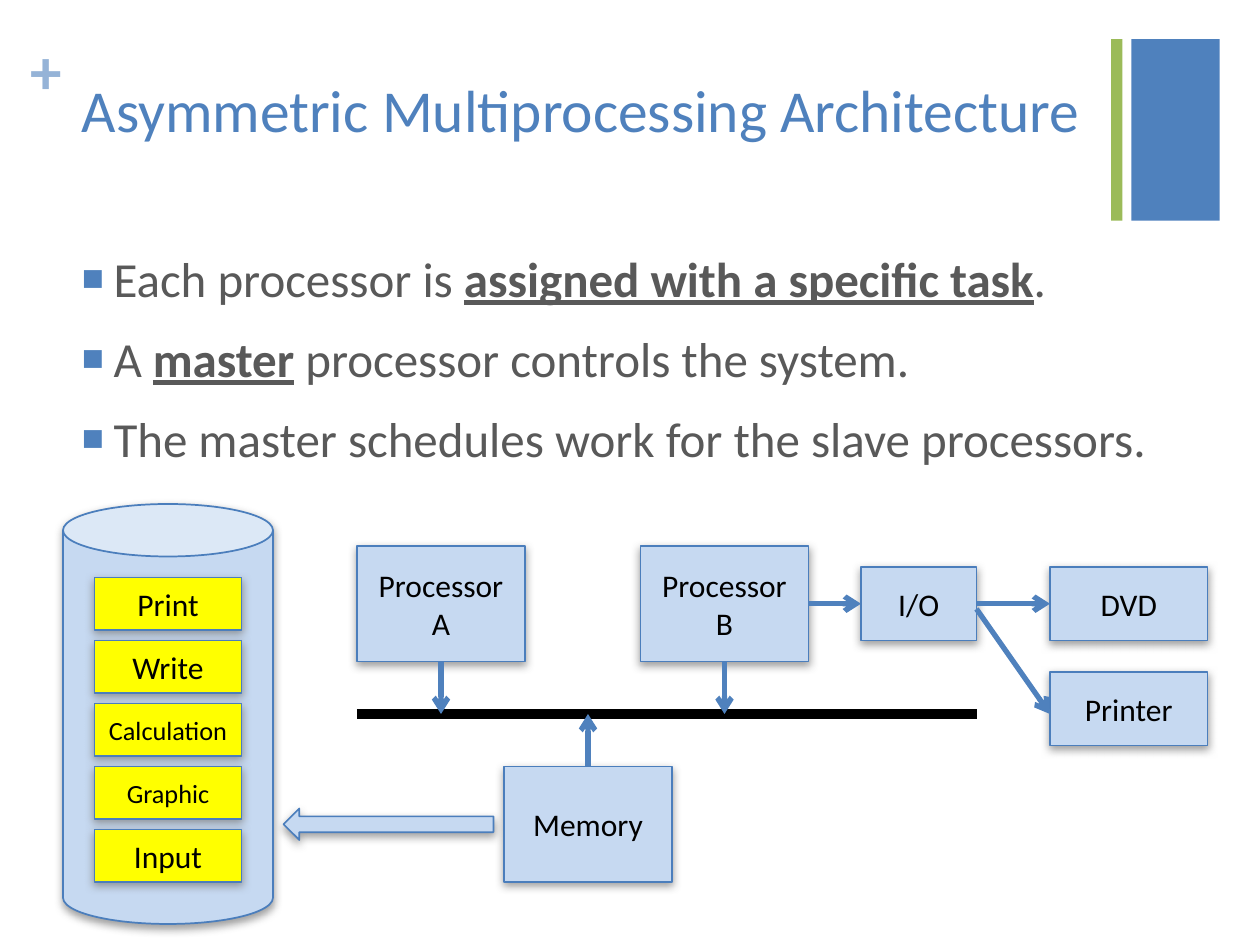
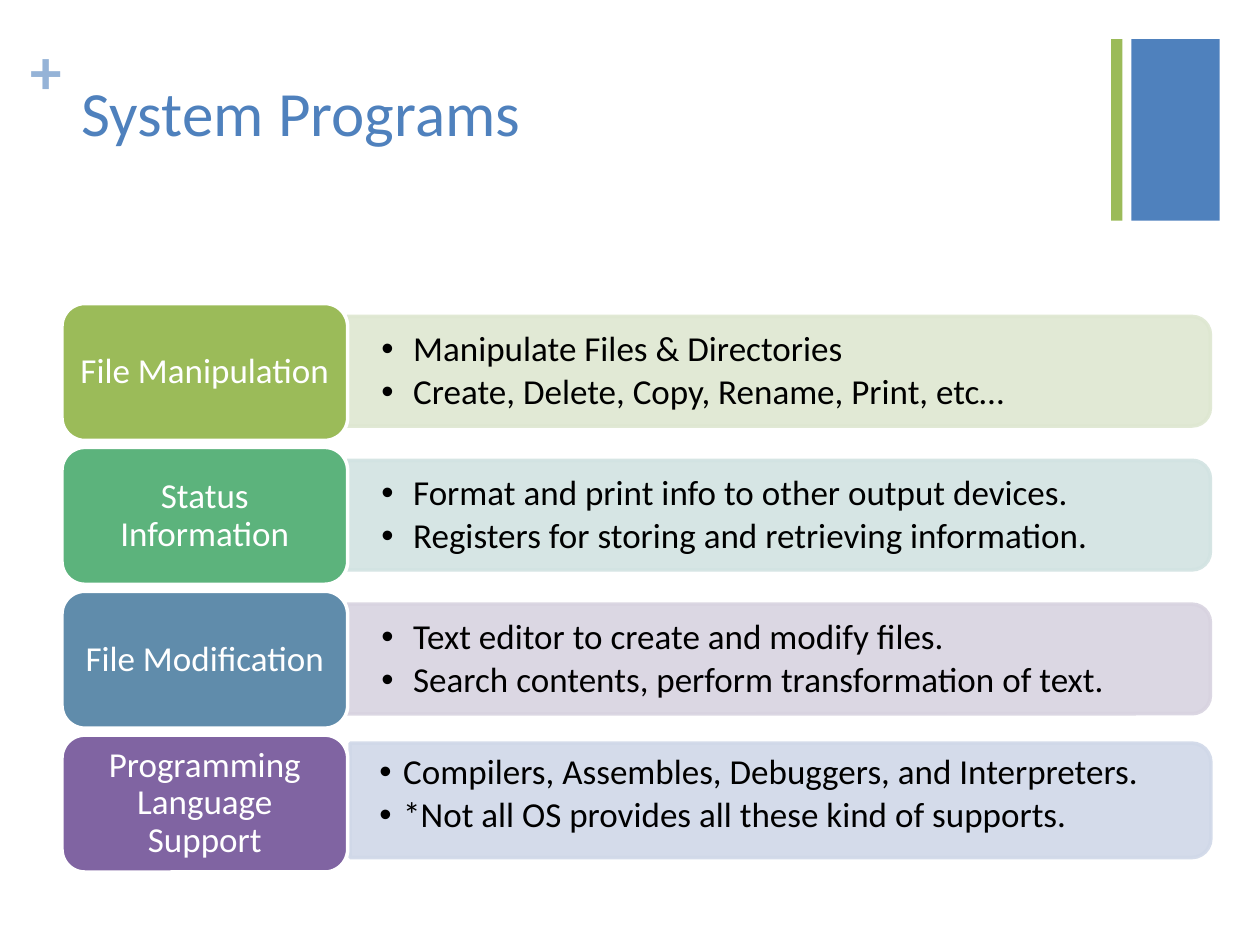
"""Builds two slides: a multiprocessing diagram and a list of system programs."""
from lxml import etree
from pptx import Presentation
from pptx.dml.color import RGBColor
from pptx.enum.shapes import MSO_CONNECTOR, MSO_SHAPE
from pptx.enum.text import MSO_ANCHOR, PP_ALIGN
from pptx.oxml.ns import qn
from pptx.util import Cm, Pt

FONT = "Calibri"
BLUE, GREEN, PALE_PLUS = "4F81BD", "9BBB59", "95B3D7"
BLACK, WHITE, GREY = "000000", "FFFFFF", "595959"
BOX_FILL, BOX_LINE, TASK_FILL = "C6D9F1", "4B7EBC", "FFFF00"

BANDS = [((22.81, 0.79, 1.78, 3.66), BLUE), ((22.4, 0.79, 0.23, 3.66), GREEN)]
PLUS_BOX = (0.61, 0.64, 0.74, 1.55)
TITLE_BOX = (1.4, 1.35, 20.98, 3.1)

POINTS = [
    [("Each processor is ", False), ("assigned with a specific task", True), (".", False)],
    [("A ", False), ("master", True), (" processor controls the system.", False)],
    [("The master schedules work for the slave processors.", False)],
]
POINTS_BOX = (1.4, 4.88, 23.16, 12.7)

GRID = 2.54 / 12
UNITS = [
    ("Memory", (48, 73, 16, 11)),
    ("Processor\nA", (34, 52, 16, 11)),
    ("Processor\nB", (61, 52, 16, 11)),
    ("I/O", (82, 54, 11, 7)),
    ("Printer", (100, 64, 15, 7)),
    ("DVD", (100, 54, 15, 7)),
]
BUS = (34, 68, 93, 68)
LINKS = [
    (42, 63, 42, 68),
    (69, 63, 69, 68),
    (56, 73, 56, 68),
    (77, 57.5, 82, 57.5),
    (93, 57.5, 100, 57.5),
    (93, 58, 100, 68),
]
STORE = (6, 48, 20, 40)
LOAD_ARROW = (27, 77, 20, 3)
TASKS = [("Print", 18), ("Write", 18), ("Calculation", 15), ("Graphic", 15), ("Input", 18)]
TASK_LEFT, TASK_TOP, TASK_WIDTH, TASK_HEIGHT, TASK_STEP = 9, 55, 14, 5, 6

PROGRAMS = [
    ("File Manipulation", GREEN, "DEE7D1",
     ["Manipulate Files & Directories", "Create, Delete, Copy, Rename, Print, etc…"]),
    ("Status Information", "5CB37C", "D2E3E2",
     ["Format and print info to other output devices.",
      "Registers for storing and retrieving information."]),
    ("File Modification", "608CAB", "D8D3E0",
     ["Text editor to create and modify files.",
      "Search contents, perform transformation of text."]),
    ("Programming Language Support", "8064A2", "D0D8E8",
     ["Compilers, Assembles, Debuggers, and Interpreters.",
      "*Not all OS provides all these kind of supports."]),
]
LABEL_LEFT, LABEL_TOP, LABEL_WIDTH, LABEL_HEIGHT, ROW_STEP = 1.25, 6.12, 5.76, 2.76, 2.9
PANEL = dict(box=(7, 0.26, 17.4, 2.21), text=(7, 0.38, 17.3, 2),
             insets=(0.69, 0.36), indent=0.64)
LAST_PANEL = dict(box=(7.06, 0.16, 17.35, 2.31), text=(7.47, 0.16, 16.89, 2.08),
                  insets=(0.18, 0.1), indent=0.48)


def rgb(color):
    return RGBColor.from_string(color)


def on_grid(cells):
    return [cell * GRID for cell in cells]


def add_xml(parent, tag, **attributes):
    return etree.SubElement(parent, qn(tag), attributes)


def style_run(run, size, color, bold=False):
    run.font.name, run.font.size, run.font.bold = FONT, Pt(size), bold
    run.font.color.rgb = rgb(color)


def set_frame(frame, insets, anchor):
    frame.word_wrap = True
    frame.vertical_anchor = anchor
    frame.margin_left = frame.margin_right = Cm(insets[0])
    frame.margin_top = frame.margin_bottom = Cm(insets[1])


def write(frame, text, size, color, bold=False, align=PP_ALIGN.LEFT, spacing=None):
    frame.text = text
    for paragraph in frame.paragraphs:
        paragraph.alignment = align
        paragraph.line_spacing = spacing
        for run in paragraph.runs:
            style_run(run, size, color, bold)


def add_text(slide, box, insets=(0.25, 0.13), anchor=MSO_ANCHOR.TOP):
    frame = slide.shapes.add_textbox(*map(Cm, box)).text_frame
    set_frame(frame, insets, anchor)
    return frame


def add_bullet(paragraph, char, indent, color=None, percent=None):
    properties = paragraph._p.get_or_add_pPr()
    properties.set("marL", str(Cm(indent)))
    properties.set("indent", str(-Cm(indent)))
    if color:
        add_xml(add_xml(properties, "a:buClr"), "a:srgbClr", val=color)
    if percent:
        add_xml(properties, "a:buSzPct", val=str(percent * 1000))
    add_xml(properties, "a:buFont", typeface="Arial")
    add_xml(properties, "a:buChar", char=char)


def add_block(slide, kind, box, fill, line=None, width=1):
    block = slide.shapes.add_shape(kind, *map(Cm, box))
    block.shadow.inherit = False
    block.fill.solid()
    block.fill.fore_color.rgb = rgb(fill)
    if line:
        block.line.color.rgb = rgb(line)
        block.line.width = Pt(width)
    else:
        block.line.fill.background()
    return block


def add_raised(slide, kind, cells, fill, text="", size=18):
    block = add_block(slide, kind, on_grid(cells), fill, BOX_LINE)
    effects = block._element.spPr.find(qn("a:effectLst"))
    shadow = add_xml(effects, "a:outerShdw", blurRad=str(Pt(5)), dist=str(Pt(2)),
                     dir="5400000", rotWithShape="0")
    add_xml(add_xml(shadow, "a:srgbClr", val="808080"), "a:alpha", val="75000")
    if text:
        set_frame(block.text_frame, (0.25, 0.13), MSO_ANCHOR.MIDDLE)
        write(block.text_frame, text, size, BLACK, align=PP_ALIGN.CENTER)
    return block


def add_line(slide, cells, color, width, arrow=False):
    line = slide.shapes.add_connector(MSO_CONNECTOR.STRAIGHT, *map(Cm, on_grid(cells)))
    line.line.color.rgb = rgb(color)
    line.line.width = Pt(width)
    if arrow:
        add_xml(line.line._get_or_add_ln(), "a:tailEnd", type="arrow")
    add_xml(line._element.spPr, "a:effectLst")


def start_slide(deck, title, size):
    slide = deck.slides.add_slide(deck.slide_layouts[6])
    for box, color in BANDS:
        add_block(slide, MSO_SHAPE.RECTANGLE, box, color)
    write(add_text(slide, PLUS_BOX, (0, 0)), "+", 36, PALE_PLUS, bold=True)
    write(add_text(slide, TITLE_BOX), title, size, BLUE)
    return slide


def add_points(slide):
    frame = add_text(slide, POINTS_BOX)
    for index, parts in enumerate(POINTS):
        paragraph = frame.add_paragraph() if index else frame.paragraphs[0]
        add_bullet(paragraph, "■", 0.64, BLUE, 75)
        if index:
            paragraph.space_before = Pt(12)
        for text, stressed in parts:
            run = paragraph.add_run()
            run.text = text
            style_run(run, 28, GREY, stressed)
            run.font.underline = stressed


def add_diagram(slide):
    for name, cells in UNITS:
        add_raised(slide, MSO_SHAPE.RECTANGLE, cells, BOX_FILL, name)
    add_line(slide, BUS, BLACK, 6)
    for link in LINKS:
        add_line(slide, link, BLUE, 3, arrow=True)
    add_raised(slide, MSO_SHAPE.CAN, STORE, BOX_FILL)
    for index, (task, size) in enumerate(TASKS):
        cells = (TASK_LEFT, TASK_TOP + index * TASK_STEP, TASK_WIDTH, TASK_HEIGHT)
        add_raised(slide, MSO_SHAPE.RECTANGLE, cells, TASK_FILL, task, size)
    add_raised(slide, MSO_SHAPE.RIGHT_ARROW, LOAD_ARROW, BOX_FILL).rotation = 180


def add_label(slide, top, name, color):
    box = (LABEL_LEFT, top, LABEL_WIDTH, LABEL_HEIGHT)
    label = add_block(slide, MSO_SHAPE.ROUNDED_RECTANGLE, box, color, WHITE, 2)
    set_frame(label.text_frame, (0.2, 0.1), MSO_ANCHOR.MIDDLE)
    write(label.text_frame, name, 20, WHITE, align=PP_ALIGN.CENTER, spacing=0.9)


def add_panel(slide, top, panel, tint, details):
    left, offset, width, height = panel["box"]
    shift = (width - height) / 2
    upright = (left + shift, top + offset - shift, height, width)
    back = add_block(slide, MSO_SHAPE.ROUND_2_SAME_RECTANGLE, upright, tint, tint, 2)
    back.rotation = 90
    for color in list(back._element.spPr.iter(qn("a:srgbClr"))):
        add_xml(color, "a:alpha", val="90000")

    left, offset, width, height = panel["text"]
    frame = add_text(slide, (left, top + offset, width, height),
                     panel["insets"], MSO_ANCHOR.MIDDLE)
    write(frame, "\n".join(details), 20, BLACK, spacing=0.9)
    for paragraph in frame.paragraphs:
        add_bullet(paragraph, "•", panel["indent"])
        paragraph.space_after = Pt(3)


def add_programs(slide):
    for index, (name, color, tint, details) in enumerate(PROGRAMS):
        top = LABEL_TOP + index * ROW_STEP
        panel = LAST_PANEL if index == len(PROGRAMS) - 1 else PANEL
        add_panel(slide, top, panel, tint, details)
        add_label(slide, top, name, color)


def main():
    deck = Presentation()
    deck.slide_width, deck.slide_height = Cm(25.4), Cm(19.05)
    architecture = start_slide(deck, "Asymmetric Multiprocessing Architecture", 34)
    add_points(architecture)
    add_diagram(architecture)
    add_programs(start_slide(deck, "System Programs", 36))
    deck.save("out.pptx")


if __name__ == "__main__":
    main()
